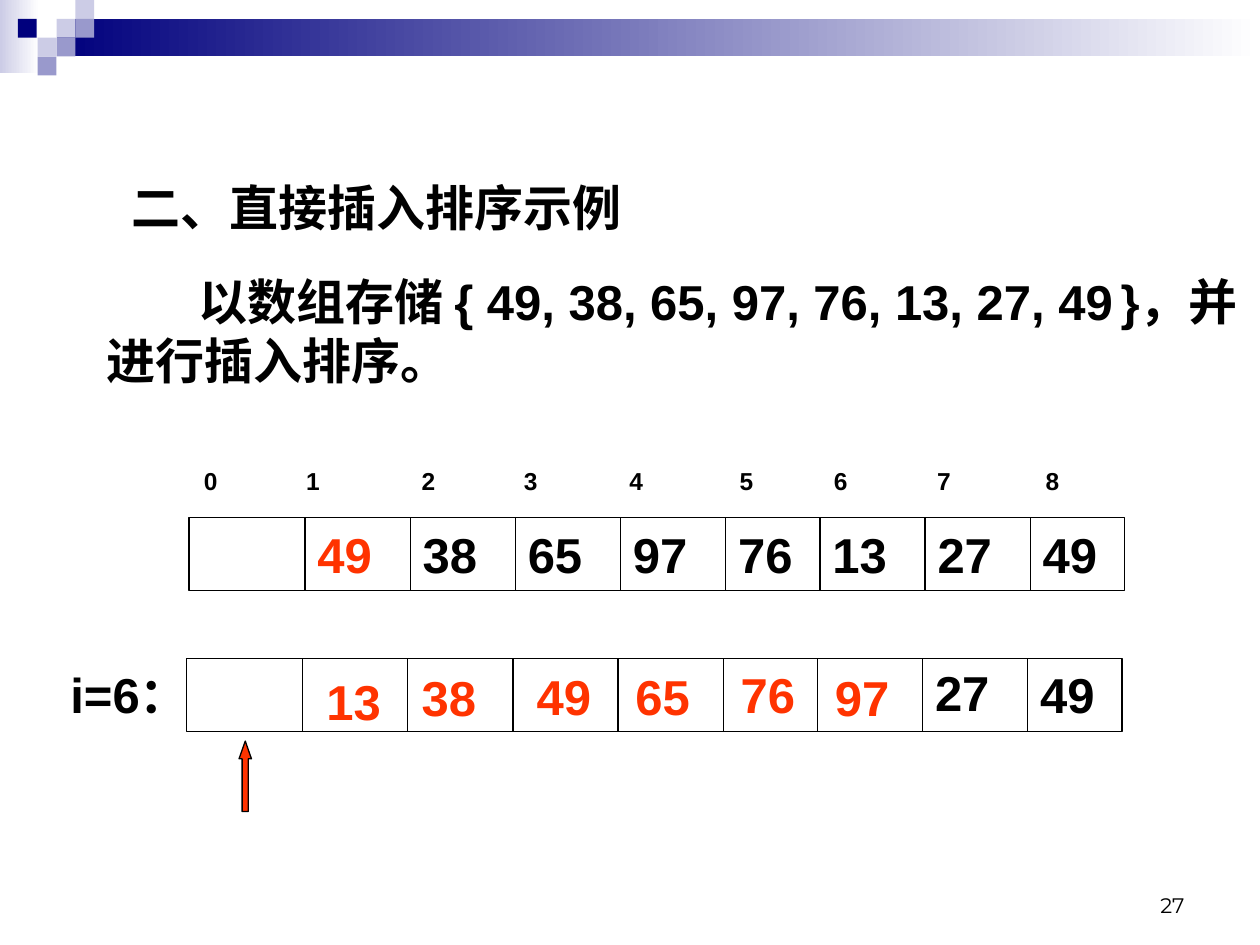
from itertools import accumulate

from lxml.etree import SubElement
from pptx import Presentation
from pptx.dml.color import RGBColor
from pptx.enum.shapes import MSO_CONNECTOR, MSO_SHAPE
from pptx.enum.text import MSO_ANCHOR, MSO_AUTO_SIZE, PP_ALIGN
from pptx.oxml.ns import qn
from pptx.util import Cm, Pt

COLORS = {
    "black": "000000", "white": "FFFFFF", "red": "FF3300",
    "navy": "00007D", "lilac": "CCCCE6", "violet": "9999CC",
}
CELL_WIDTHS = [2.34, 2.12, 2.12, 2.12, 2.12, 1.9, 2.12, 2.12, 1.9]
CELL_EDGES = [0, *accumulate(CELL_WIDTHS)]
ROW_HEIGHT = 1.47
SQUARE = 0.38


class SlideBuilder:
    """Hold the style and the current slide, and add each kind of element."""

    def __init__(self, page, font="Arial", size=28):
        self.page = page
        self.font = font
        self.size = size

    def color(self, name):
        return RGBColor.from_string(COLORS[name])

    def place(self, box, left, top, width, height):
        box.left, box.top, box.width, box.height = map(Cm, (left, top, width, height))

    def fill_text(self, box, spans, color="black", bold=True, font=None, wrap=True):
        frame = box.text_frame
        frame.word_wrap = wrap
        frame.auto_size = MSO_AUTO_SIZE.NONE
        frame.vertical_anchor = MSO_ANCHOR.TOP
        para = frame.paragraphs[0]
        para.alignment = PP_ALIGN.LEFT
        para.space_before = Pt(0)
        for text, size in spans:
            span = para.add_run()
            span.text = text
            span.font.name = font or self.font
            span.font.size = Pt(size)
            span.font.bold = bold
            span.font.color.rgb = self.color(color)
        return para

    def text(self, spans, left, top, width, height, **style):
        box = self.page.shapes.add_textbox(*map(Cm, (left, top, width, height)))
        return box, self.fill_text(box, spans, **style)

    def shape(self, kind, left, top, width, height, fill, line=None):
        box = self.page.shapes.add_shape(kind, *map(Cm, (left, top, width, height)))
        box.shadow.inherit = False
        if isinstance(fill, tuple):
            box.fill.gradient()
            box.fill.gradient_angle = 0
            for stop, name in zip(box.fill.gradient_stops, fill):
                stop.color.rgb = self.color(name)
        else:
            box.fill.solid()
            box.fill.fore_color.rgb = self.color(fill)
        if line:
            box.line.color.rgb = self.color(line)
            box.line.width = Pt(0.75)
        else:
            box.line.fill.background()
        return box

    def divider(self, x, top, height):
        line = self.page.shapes.add_connector(
            MSO_CONNECTOR.STRAIGHT, Cm(x), Cm(top), Cm(x), Cm(top + height))
        line.line.color.rgb = self.color("black")
        line.line.width = Pt(0.75)
        SubElement(line._element.spPr, qn("a:effectLst"))

    def array_row(self, left, top, values):
        self.shape(MSO_SHAPE.RECTANGLE, left, top, CELL_EDGES[-1], ROW_HEIGHT, "white", "black")
        for edge in CELL_EDGES[1:-1]:
            self.divider(left + edge, top, ROW_HEIGHT)
        for edge, (value, color, shift, drop) in zip(CELL_EDGES[1:], values):
            self.text([(value, self.size)], left + edge + shift, top + drop, 1.7, 1.45, color=color)

    def tab_stops(self, para, stops):
        tabs = SubElement(para._p.get_or_add_pPr(), qn("a:tabLst"))
        for stop in stops:
            SubElement(tabs, qn("a:tab"), pos=str(Cm(stop)), algn="l")

    def banner(self):
        self.shape(MSO_SHAPE.RECTANGLE, 0, 0, 0.79, 1.47, ("lilac", "white"))
        self.shape(MSO_SHAPE.RECTANGLE, 1.14, SQUARE, 24.26, 2 * SQUARE, ("navy", "white"))
        squares = [
            (3, 1, "lilac"), (4, 0, "lilac"), (4, 1, "violet"), (2, 2, "lilac"),
            (0.95, 1, "navy"), (3, 2, "violet"), (2, 3, "violet"),
        ]
        for column, row, fill in squares:
            self.shape(MSO_SHAPE.RECTANGLE, column * SQUARE, row * SQUARE, SQUARE, SQUARE, fill)


def main():
    deck = Presentation()
    deck.slide_width, deck.slide_height = Cm(25.4), Cm(19.05)
    page = deck.slides.add_slide(deck.slide_layouts[1])
    builder = SlideBuilder(page)
    builder.banner()

    title, body = page.shapes.title, page.placeholders[1]
    builder.place(title, 2.4, 3.45, 20, 1.5)
    builder.fill_text(title, [("二、直接插入排序示例", 28)])
    builder.place(body, 1.9, 5.35, 23.5, 2.7)
    para = builder.fill_text(body, [
        ("以数组存储 { 49, 38, 65, 97, 76, 13, 27, 49", 28),
        (" ", 16),
        ("}，并进行插入排序。", 28),
    ])
    properties = para._p.get_or_add_pPr()
    properties.set("marL", "0")
    properties.set("indent", str(Cm(1.85)))
    SubElement(properties, qn("a:buNone"))

    indexes = "\t".join(str(index) for index in range(9))
    box, para = builder.text([(indexes, 14)], 3.86, 9.27, 18.85, 0.86)
    builder.tab_stops(para, [2.06, 4.39, 6.45, 8.58, 10.8, 12.7, 14.78, 16.97])

    initial = ["49", "38", "65", "97", "76", "13", "27", "49"]
    builder.array_row(3.81, 10.44, [
        (value, "black" if place else "red", 0, 0) for place, value in enumerate(initial)])
    builder.array_row(3.76, 13.28, [
        ("13", "red", 0.23, 0.13), ("38", "red", 0.03, 0.05),
        ("49", "red", 0.23, 0.03), ("65", "red", 0.1, 0.03),
        ("76", "red", 0.1, 0), ("97", "red", 0.1, 0.05),
        ("27", "black", 0, -0.05), ("49", "black", 0, 0),
    ])
    builder.text([("i=6：", 28)], 1.17, 13.28, 2.7, 1.45, wrap=False)

    arrow = builder.shape(MSO_SHAPE.UP_ARROW, 4.82, 14.94, 0.25, 1.42, "red", "black")
    arrow.adjustments[0], arrow.adjustments[1] = 0.5, 1.43

    box, para = builder.text([("27", 12)], 18.21, 17.35, 5.92, 1.27, bold=False, font="Montserrat")
    box.text_frame.vertical_anchor = MSO_ANCHOR.BOTTOM
    para.alignment = PP_ALIGN.RIGHT
    deck.save("out.pptx")


if __name__ == "__main__":
    main()
